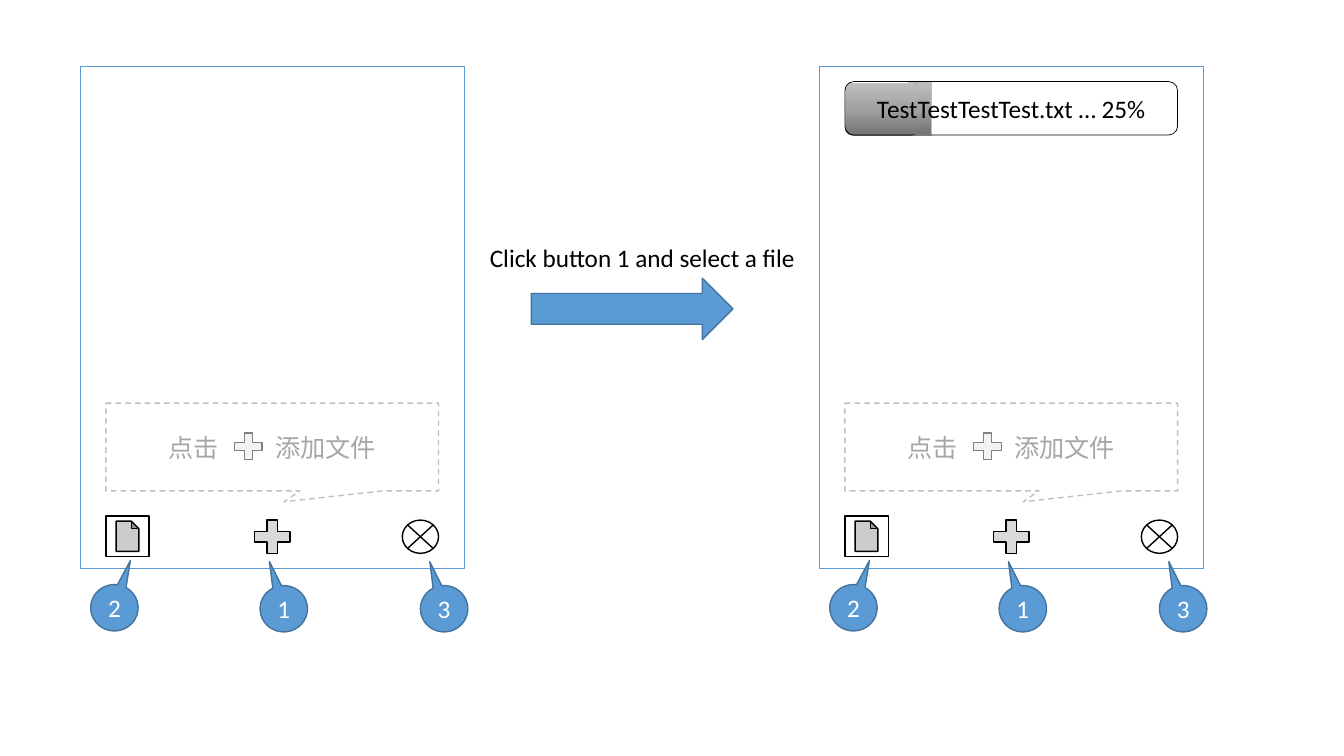
from copy import deepcopy
from dataclasses import dataclass
from typing import Optional

from lxml.etree import SubElement
from pptx import Presentation
from pptx.dml.color import RGBColor
from pptx.enum.dml import MSO_LINE
from pptx.enum.shapes import MSO_SHAPE as Kind
from pptx.enum.text import MSO_ANCHOR as Anchor, PP_ALIGN as Align
from pptx.oxml.ns import qn
from pptx.shapes.autoshape import Shape
from pptx.slide import Slide
from pptx.text.text import TextFrame
from pptx.util import Inches, Pt

BLACK = RGBColor(0x00, 0x00, 0x00)
WHITE = RGBColor(0xFF, 0xFF, 0xFF)
BLUE = RGBColor(0x5B, 0x9B, 0xD5)
DARK_BLUE = RGBColor(0x43, 0x73, 0x9E)
HINT_GREY = RGBColor(0xA6, 0xA6, 0xA6)
HINT_LINE = RGBColor(0xBF, 0xBF, 0xBF)
HINT_PLUS_FILL = RGBColor(0xF2, 0xF2, 0xF2)
HINT_PLUS_LINE = RGBColor(0x80, 0x80, 0x80)
PLUS_FILL = RGBColor(0xD9, 0xD9, 0xD9)
PROGRESS_STOPS = (
    (0, RGBColor(0x71, 0x71, 0x71)),
    (0.5, RGBColor(0xA1, 0xA1, 0xA1)),
    (1, HINT_LINE),
)
FONT = "Calibri"
BEFORE_LEFT, AFTER_LEFT = 0.8, 8.13


@dataclass(frozen=True)
class Part:
    kind: Kind
    left: float
    top: float
    width: float
    height: float
    fill: Optional[RGBColor] = WHITE
    line: Optional[RGBColor] = BLACK
    line_width: float = 1
    adjustments: tuple[float, ...] = ()


@dataclass(frozen=True)
class Badge:
    number: str
    left: float
    top: float
    tip: float


SCREEN = Part(Kind.RECTANGLE, 0, 0.66, 3.81, 4.98, line=BLUE)
BUTTONS = (
    Part(Kind.FLOWCHART_SUMMING_JUNCTION, 3.19, 5.16, 0.36, 0.33),
    Part(Kind.ACTION_BUTTON_DOCUMENT, 0.25, 5.12, 0.43, 0.4),
    Part(Kind.MATH_PLUS, 1.66, 5.1, 0.48, 0.45, PLUS_FILL),
)
HINT = Part(Kind.RECTANGULAR_CALLOUT, 0.25, 4, 3.3, 0.87, line=HINT_LINE,
            adjustments=(0.036, 0.624))
HINT_PLUS = Part(Kind.MATH_PLUS, 1.48, 4.25, 0.37, 0.36,
                 HINT_PLUS_FILL, HINT_PLUS_LINE)
BADGES = (
    Badge("2", 0.1, 5.8, 0.337),
    Badge("1", 1.78, 5.81, -0.302),
    Badge("3", 3.37, 5.81, -0.302),
)
PROGRESS_EDGE = Part(Kind.RECTANGLE, 0.88, 0.81, 0.23, 0.53, None, HINT_LINE)
PROGRESS_START = Part(Kind.ROUNDED_RECTANGLE, 0.25, 0.82, 0.74, 0.53, None, None)
PROGRESS_FRAME = Part(Kind.ROUNDED_RECTANGLE, 0.25, 0.81, 3.3, 0.53, None,
                      line_width=0.5)
STEP_ARROW = Part(Kind.RIGHT_ARROW, 5.27, 2.76, 2, 0.61, BLUE, DARK_BLUE)


def draw(slide: Slide, part: Part, origin: float = 0) -> Shape:
    shape = slide.shapes.add_shape(
        part.kind, Inches(origin + part.left), Inches(part.top),
        Inches(part.width), Inches(part.height))
    shape.shadow.inherit = False
    for index, value in enumerate(part.adjustments):
        shape.adjustments[index] = value
    if part.fill is None:
        shape.fill.background()
    else:
        shape.fill.solid()
        shape.fill.fore_color.rgb = part.fill
    if part.line is None:
        shape.line.fill.background()
    else:
        shape.line.color.rgb = part.line
        shape.line.width = Pt(part.line_width)
    return shape


def write(frame: TextFrame, text: str, color: RGBColor, align: Align) -> None:
    frame.word_wrap = True
    paragraph = frame.paragraphs[0]
    paragraph.alignment = align
    run = paragraph.add_run()
    run.text = text
    run.font.name = FONT
    run.font.size = Pt(18)
    run.font.color.rgb = color


def label(shape: Shape, text: str, color: RGBColor) -> None:
    frame = shape.text_frame
    frame.margin_left = frame.margin_right = Inches(0)
    frame.vertical_anchor = Anchor.MIDDLE
    write(frame, text, color, Align.CENTER)


def shade(shape: Shape) -> None:
    shape.fill.gradient()
    shape.fill.gradient_angle = 90
    stop_list = next(shape.element.spPr.iter(qn("a:gsLst")))
    stop_list.insert(1, deepcopy(stop_list[0]))
    for stop, (position, color) in zip(shape.fill.gradient_stops, PROGRESS_STOPS):
        stop.position = position
        stop.color.rgb = color


def draw_hint(slide: Slide, origin: float) -> None:
    hint = draw(slide, HINT, origin)
    hint.line.dash_style = MSO_LINE.DASH
    frame = hint.text_frame
    frame.margin_left = Inches(0.62)
    frame.vertical_anchor = Anchor.MIDDLE
    write(frame, "点击\t添加文件", HINT_GREY, Align.LEFT)
    properties = frame.paragraphs[0]._p.get_or_add_pPr()
    tabs = SubElement(properties, qn("a:tabLst"))
    SubElement(tabs, qn("a:tab"), pos=str(Inches(1.06)), algn="l")
    draw(slide, HINT_PLUS, origin)


def draw_badge(slide: Slide, badge: Badge, origin: float) -> None:
    callout = Part(Kind.OVAL_CALLOUT, badge.left, badge.top, 0.47, 0.46,
                   BLUE, DARK_BLUE, adjustments=(badge.tip, -1.017))
    label(draw(slide, callout, origin), badge.number, WHITE)


def draw_screen(slide: Slide, origin: float) -> None:
    draw(slide, SCREEN, origin)
    for button in BUTTONS:
        draw(slide, button, origin)
    draw_hint(slide, origin)
    for badge in BADGES:
        draw_badge(slide, badge, origin)


def draw_progress(slide: Slide, origin: float) -> None:
    for part in (PROGRESS_EDGE, PROGRESS_START):
        shade(draw(slide, part, origin))
    label(draw(slide, PROGRESS_FRAME, origin), "TestTestTestTest.txt … 25%", BLACK)


def draw_step(slide: Slide) -> None:
    draw(slide, STEP_ARROW)
    caption = slide.shapes.add_textbox(
        Inches(4.76), Inches(2.36), Inches(3.45), Inches(0.4))
    write(caption.text_frame, "Click button 1 and select a file", BLACK, Align.LEFT)


presentation = Presentation()
presentation.slide_width = Inches(13.33)
presentation.slide_height = Inches(7.5)
upload_slide = presentation.slides.add_slide(presentation.slide_layouts[6])
for screen_left in (AFTER_LEFT, BEFORE_LEFT):
    draw_screen(upload_slide, screen_left)
draw_progress(upload_slide, AFTER_LEFT)
draw_step(upload_slide)
presentation.save("out.pptx")
